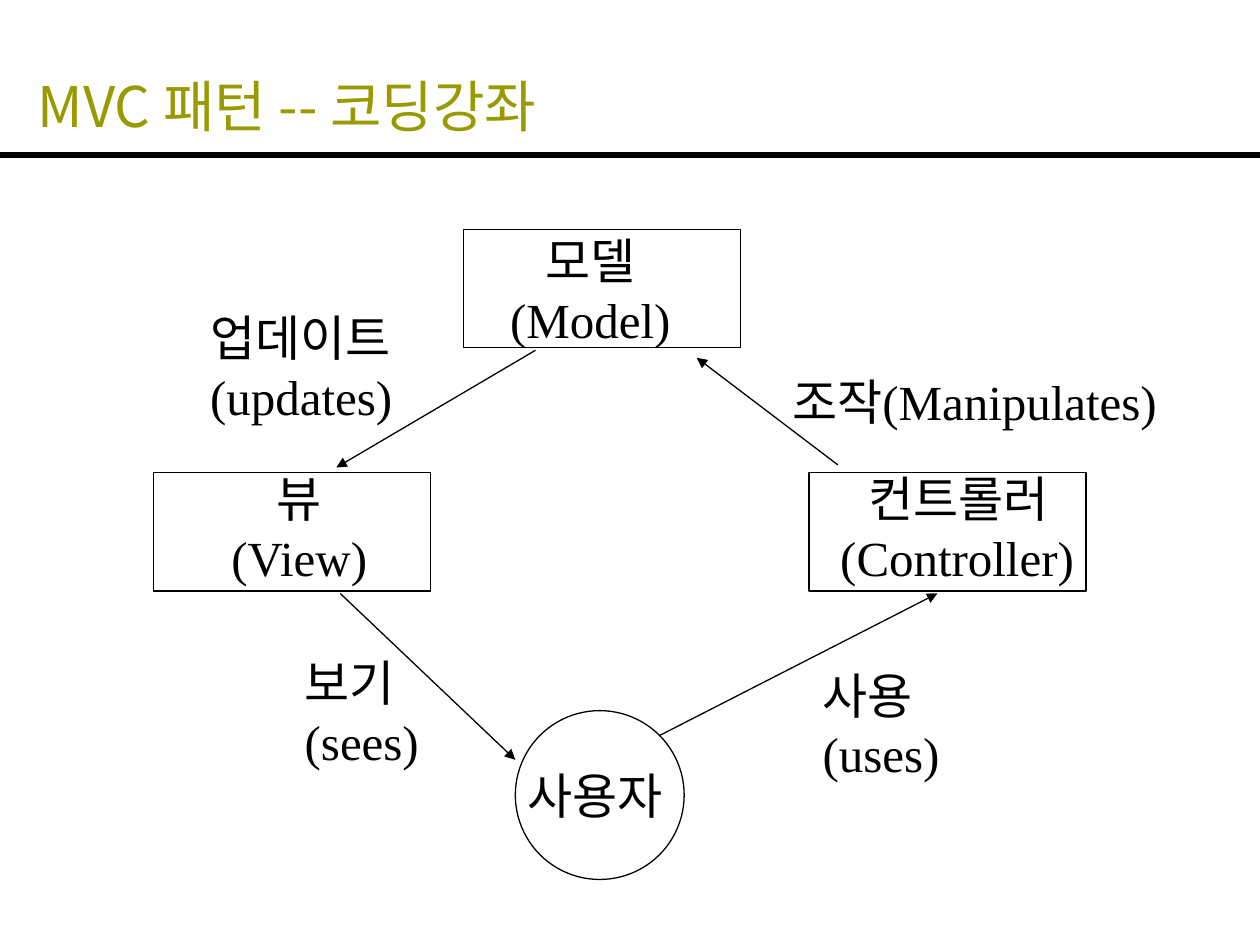
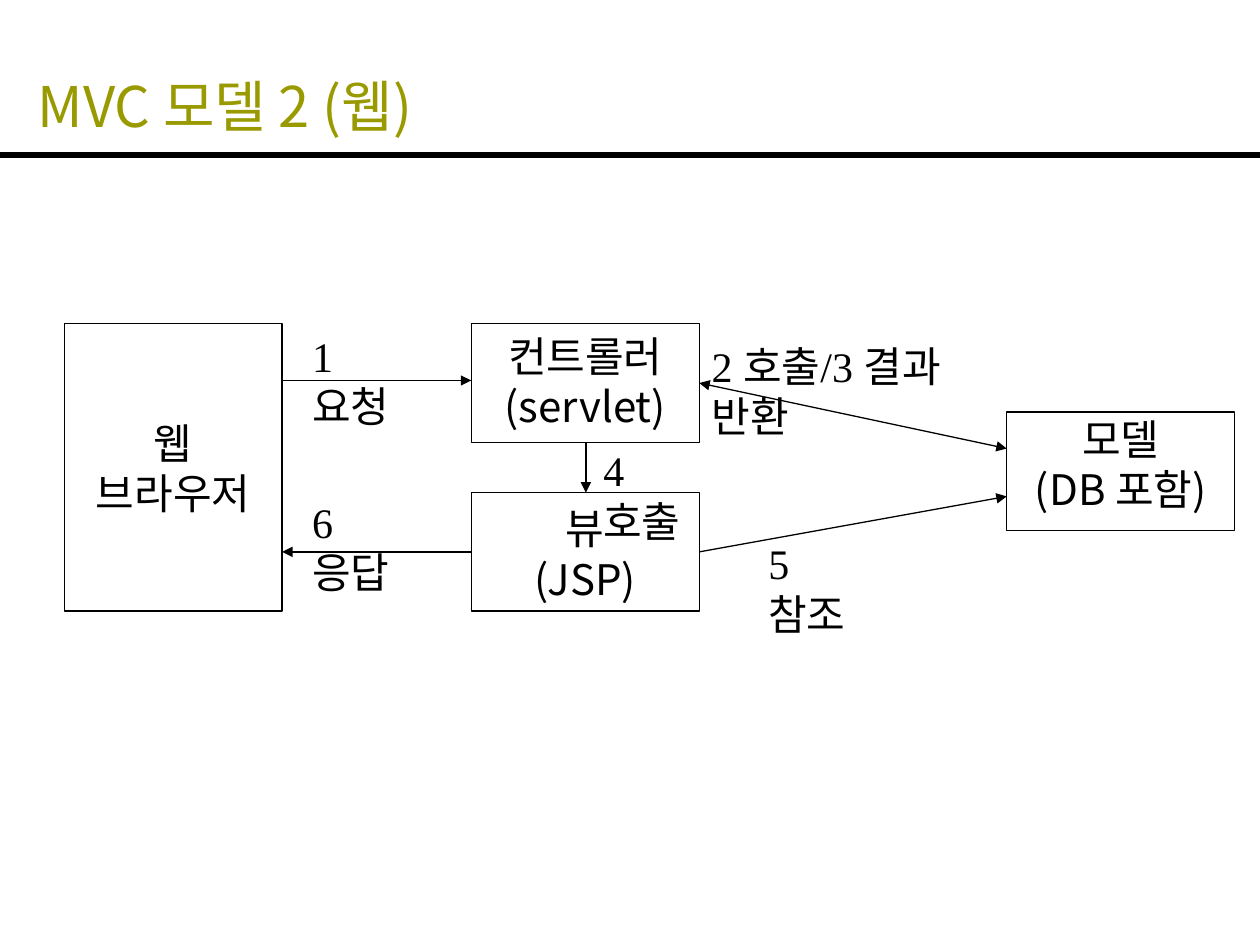
from lxml.etree import SubElement
from pptx import Presentation
from pptx.dml.color import RGBColor
from pptx.enum.shapes import MSO_CONNECTOR, MSO_SHAPE
from pptx.enum.text import MSO_ANCHOR, PP_ALIGN
from pptx.oxml.ns import qn
from pptx.util import Emu, Pt

SCALE = 9144  # EMU per px, 100 px to the inch
WIDE, HIGH = 1000, 750
BLACK, OLIVE = "000000", "999900"
SANS, SERIF, BOOK = "Noto Sans CJK KR", "Times New Roman", "TeX Gyre Pagella"
LEFT, MID = PP_ALIGN.LEFT, PP_ALIGN.CENTER


def px(n):
    return Emu(n * SCALE)


def ink(code):
    return RGBColor.from_string(code)


class Deck:
    """Holds the style and the current slide."""

    def __init__(self):
        self.prs = Presentation()
        self.prs.slide_width, self.prs.slide_height = px(WIDE), px(HIGH)
        self.slide = None
        self.size = 24

    def page(self, title, size):
        """Start a slide with its title and rule; size is for body text."""
        self.slide = self.prs.slides.add_slide(self.prs.slide_layouts[6])
        self.line((0, 123), (WIDE, 123), width=3)
        self.size = 32
        self.text((20, 30, 961, 85), [title], SANS, color=OLIVE,
                  anchor=MSO_ANCHOR.BOTTOM)
        self.size = size

    def fill(self, frame, lines, font, align, color, anchor):
        """Each item is a paragraph; a bar inside it is a line break."""
        frame.word_wrap = True
        frame.vertical_anchor = anchor
        for i, line in enumerate(lines):
            para = frame.paragraphs[0] if i == 0 else frame.add_paragraph()
            para.alignment = align[i] if isinstance(align, list) else align
            for j, part in enumerate(line.split("|")):
                if j:
                    para.add_line_break()
                run = para.add_run()
                run.text = part
                run.font.size = Pt(self.size)
                run.font.name = font
                run.font.color.rgb = ink(color)
                east = SubElement(run.font._element, qn("a:ea"))
                east.set("typeface", SANS)

    def text(self, at, lines, font=SERIF, align=LEFT, color=BLACK,
             anchor=MSO_ANCHOR.TOP):
        box = self.slide.shapes.add_textbox(*map(px, at))
        self.fill(box.text_frame, lines, font, align, color, anchor)

    def shape(self, at, kind=MSO_SHAPE.RECTANGLE, lines=(), font=SERIF):
        item = self.slide.shapes.add_shape(kind, *map(px, at))
        item.shadow.inherit = False
        item.fill.background()
        item.line.color.rgb = ink(BLACK)
        item.line.width = Pt(0.75)
        self.fill(item.text_frame, lines, font, MID, BLACK, MSO_ANCHOR.MIDDLE)

    def line(self, start, end, width=0.75, ends=()):
        item = self.slide.shapes.add_connector(
            MSO_CONNECTOR.STRAIGHT, *map(px, start + end))
        item.line.color.rgb = ink(BLACK)
        item.line.width = Pt(width)
        props = item._element.spPr
        for tag in ends:
            SubElement(props.find(qn("a:ln")), qn(tag)).set("type", "triangle")
        SubElement(props, qn("a:effectLst"))

    def arrow(self, start, end, both=False):
        ends = ["a:headEnd", "a:tailEnd"] if both else ["a:tailEnd"]
        self.line(start, end, ends=ends)


def cycle(deck):
    deck.page("MVC 패턴 -- 코딩강좌", 28)

    # User
    deck.shape((409, 564, 134, 134), MSO_SHAPE.OVAL)
    deck.text((409, 603, 138, 57), ["사용자"])

    # Model, view and controller: frame corner, then text place
    for left, top, tx, ty, wide, lines, align in (
        (642, 375, 657, 367, 208, ["컨트롤러", "(Controller)"], [MID, LEFT]),
        (122, 375, 173, 367, 129, ["뷰", "(View)"], MID),
        (368, 182, 394, 178, 149, ["모델", "(Model)"], MID),
    ):
        deck.shape((left, top, 220, 94))
        deck.text((tx, ty, wide, 104), lines, align=align)

    # Arrows round the cycle
    for start, end in (
        ((425, 278), (267, 371)),
        ((270, 471), (409, 603)),
        ((523, 584), (744, 471)),
        ((665, 369), (553, 284)),
    ):
        deck.arrow(start, end)

    # Arrow labels
    for left, top, wide, lines in (
        (619, 290, 350, ["조작(Manipulates)"]),
        (157, 239, 190, ["업데이트", "(updates)"]),
        (232, 513, 130, ["보기", "(sees)"]),
        (643, 523, 130, ["사용", "(uses)"]),
    ):
        deck.text((left, top, wide, 57 if len(lines) == 1 else 104), lines)


def web(deck):
    deck.page("MVC 모델 2 (웹)", 24)

    # Browser and server parts
    deck.shape((51, 257, 173, 228), lines=["웹|브라우저"], font=BOOK)
    for left, top, shift, lines in (
        (374, 257, 0, ["컨트롤러", "(servlet)"]),
        (374, 391, 3, ["뷰", "(JSP)"]),
        (799, 327, -4, ["모델", "(DB 포함)"]),
    ):
        deck.shape((left, top, 181, 94))
        deck.text((left, top + shift, 181, 91), lines, SANS, MID)

    # Arrows
    deck.arrow((224, 302), (374, 302))
    deck.arrow((374, 438), (224, 438))
    deck.arrow((465, 351), (465, 391))
    deck.arrow((555, 304), (799, 356), both=True)
    deck.arrow((555, 438), (799, 394))

    # Numbered steps
    for left, top, wide, step in (
        (238, 257, 104, "1|요청"),
        (555, 265, 290, "2 호출/3 결과|반환"),
        (600, 422, 113, "5|참조"),
        (469, 348, 113, "4|호출"),
        (238, 389, 113, "6|응답"),
    ):
        deck.text((left, top, wide, 91), [step])


def main():
    deck = Deck()
    cycle(deck)
    web(deck)
    deck.prs.save("out.pptx")


if __name__ == "__main__":
    main()
